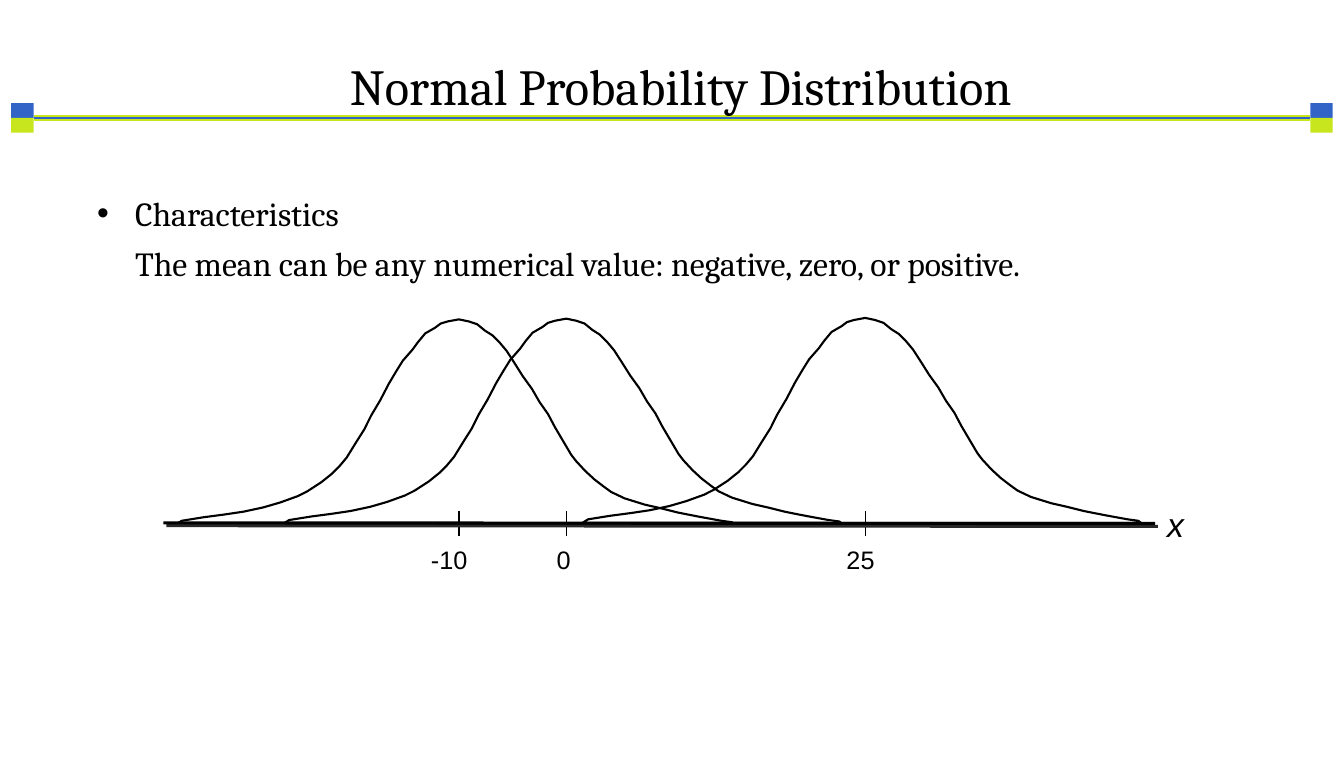
from lxml import etree
from pptx import Presentation
from pptx.dml.color import RGBColor
from pptx.enum.shapes import MSO_CONNECTOR, MSO_SHAPE
from pptx.enum.text import MSO_ANCHOR, MSO_AUTO_SIZE, PP_ALIGN
from pptx.oxml.ns import qn
from pptx.util import Pt

LINE, RECT = MSO_CONNECTOR.STRAIGHT, MSO_SHAPE.RECTANGLE
TOP, MID, FIXED = MSO_ANCHOR.TOP, MSO_ANCHOR.MIDDLE, MSO_AUTO_SIZE.NONE
LEFT, CENTER = PP_ALIGN.LEFT, PP_ALIGN.CENTER
BLACK = RGBColor(0x00, 0x00, 0x00)
BLUE = RGBColor(0x32, 0x64, 0xC8)
LIME = RGBColor(0xC8, 0xE6, 0x1E)
SHADE = RGBColor(0x29, 0x29, 0x29)

BELL = [
    (0, 0), (-8, 1.5), (-13, 3), (-17, 6), (-24, 10), (-29, 16),
    (-33, 21.5), (-40, 29.5), (-45, 37.5), (-50, 46), (-56, 57.5),
    (-62.5, 68.5), (-67.5, 78.5), (-73.5, 88), (-80, 98.5),
    (-85, 104.5), (-90.5, 110), (-98, 116), (-108, 122.5),
    (-115, 126), (-127.5, 130.5), (-139.5, 134), (-153.5, 137),
    (-167, 139), (-182, 141), (-197.5, 143.5), (-201.5, 146),
    (196.5, 146), (194.5, 144.5), (187, 143.5), (170.5, 140.5),
    (155.5, 137.5), (143.5, 134.5), (132.5, 132), (118, 127.5),
    (108.5, 123), (103, 119), (96.5, 114), (90, 108), (83.5, 101),
    (80, 96.5), (75, 88), (68.5, 77), (63.5, 67.5), (57.5, 59),
    (52, 49.5), (45.5, 40.5), (39.5, 31), (34, 22.5), (29, 16.5),
    (24, 11.5), (18.5, 8), (13, 3.5), (7, 1.5),
]


class Page:
    serif, sans = "Cambria", "Arial"

    def __init__(self, deck):
        self.slide = deck.slides.add_slide(deck.slide_layouts[1])
        self.shapes = self.slide.shapes

    def run(self, para, text, size, face, slant=False):
        run = para.add_run()
        run.text = text
        font = run.font
        font.size, font.name, font.italic = Pt(size), face, slant
        font.color.rgb = BLACK

    def place(self, shape, x, y, w, h, anchor):
        shape.left, shape.top, shape.width, shape.height = map(Pt, (x, y, w, h))
        frame = shape.text_frame
        frame.word_wrap, frame.auto_size = True, FIXED
        frame.vertical_anchor = anchor
        return frame

    def title(self, text, *box):
        shape = self.shapes.title
        shape.element.getparent().append(shape.element)
        para = self.place(shape, *box, MID).paragraphs[0]
        para.alignment, para.line_spacing = CENTER, 0.9
        self.run(para, text, 36, self.serif)

    def body(self, items, *box):
        frame = self.place(self.slide.placeholders[1], *box, TOP)
        for i, (text, mark) in enumerate(items):
            para = frame.add_paragraph() if i else frame.paragraphs[0]
            props = para._p.get_or_add_pPr()
            props.set("marL", str(Pt(27)))
            props.set("indent", str(Pt(-27 if mark else 0)))
            if mark:
                etree.SubElement(props, qn("a:buFont"), typeface=self.sans)
                etree.SubElement(props, qn("a:buChar"), char=mark)
            else:
                etree.SubElement(props, qn("a:buNone"))
            para.alignment, para.line_spacing = LEFT, 1.0
            para.space_before = Pt(7 if i else 0)
            self.run(para, text, 24, self.serif)

    def label(self, text, x, y, size=18, slant=False):
        shape = self.shapes.add_textbox(0, 0, 0, 0)
        para = self.place(shape, x, y, 48, 34, TOP).paragraphs[0]
        self.run(para, text, size, self.sans, slant)

    def line(self, x1, y1, x2, y2, width, color=BLACK, shade=None):
        line = self.shapes.add_connector(LINE, *map(Pt, (x1, y1, x2, y2)))
        line.line.width, line.line.color.rgb = Pt(width), color
        effect = etree.SubElement(line.element.spPr, qn("a:effectLst"))
        if shade:
            drop = etree.SubElement(effect, qn("a:outerShdw"), blurRad="0",
                                    dist=str(Pt(2.8)), dir="2700000",
                                    algn="ctr", rotWithShape="0")
            etree.SubElement(drop, qn("a:srgbClr"), val=str(shade))

    def block(self, x, y, w, h, color):
        shape = self.shapes.add_shape(RECT, *map(Pt, (x, y, w, h)))
        shape.shadow.inherit = False
        shape.fill.solid()
        shape.fill.fore_color.rgb = color
        shape.line.fill.background()

    def curve(self, x, y):
        spots = [(Pt(x + dx), Pt(y + dy)) for dx, dy in BELL]
        pen = self.shapes.build_freeform(*spots[0])
        pen.add_line_segments(spots[1:], close=True)
        shape = pen.convert_to_shape()
        shape.shadow.inherit = False
        shape.fill.background()
        shape.line.width, shape.line.color.rgb = Pt(1.5), BLACK


def main():
    deck = Presentation()
    deck.slide_width, deck.slide_height = Pt(957.6), Pt(540)
    page = Page(deck)

    for color, width in ((LIME, 4.5), (BLUE, 1.75)):
        page.line(24, 84, 933.6, 84, width, color)
    for x in (8, 933.6):
        page.block(x, 73.5, 16, 10.5, BLUE)
        page.block(x, 84, 16, 10.5, LIME)

    page.title("Normal Probability Distribution", 78, 41, 814, 45)
    page.body([
        ("Characteristics", "•"),
        ("The mean can be any numerical value: negative, zero, or positive.", None),
    ], 62, 133.5, 768, 77)

    for text, peak, top, left in (("-10", 327, 227.5, 300),
                                  ("0", 403.5, 227, 389.5),
                                  ("25", 616.5, 226.5, 596)):
        page.curve(peak, top)
        page.line(peak, 364, peak, 382, 1)
        page.label(text, left, 384.5)
    page.label("x", 824.5, 355, 24, True)
    page.line(116.5, 372.5, 823, 373, 2.25, shade=SHADE)

    deck.save("out.pptx")


if __name__ == "__main__":
    main()
